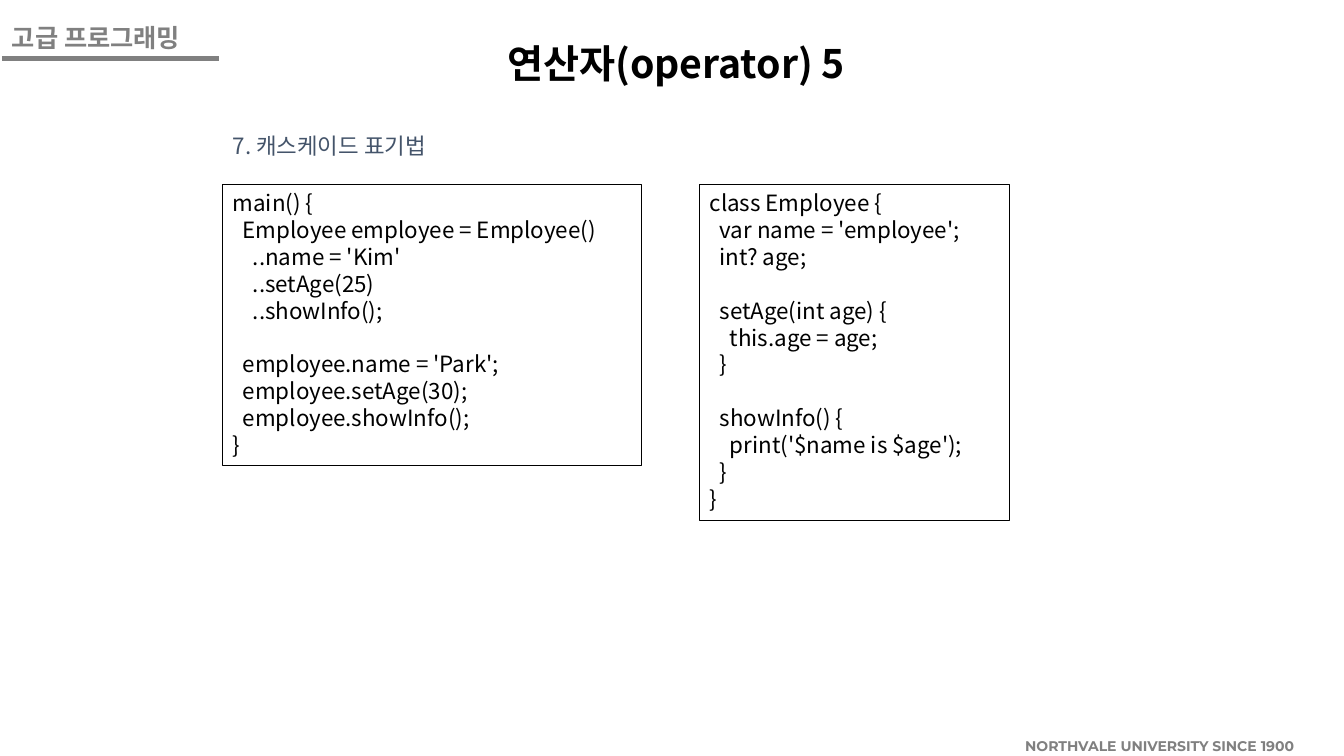
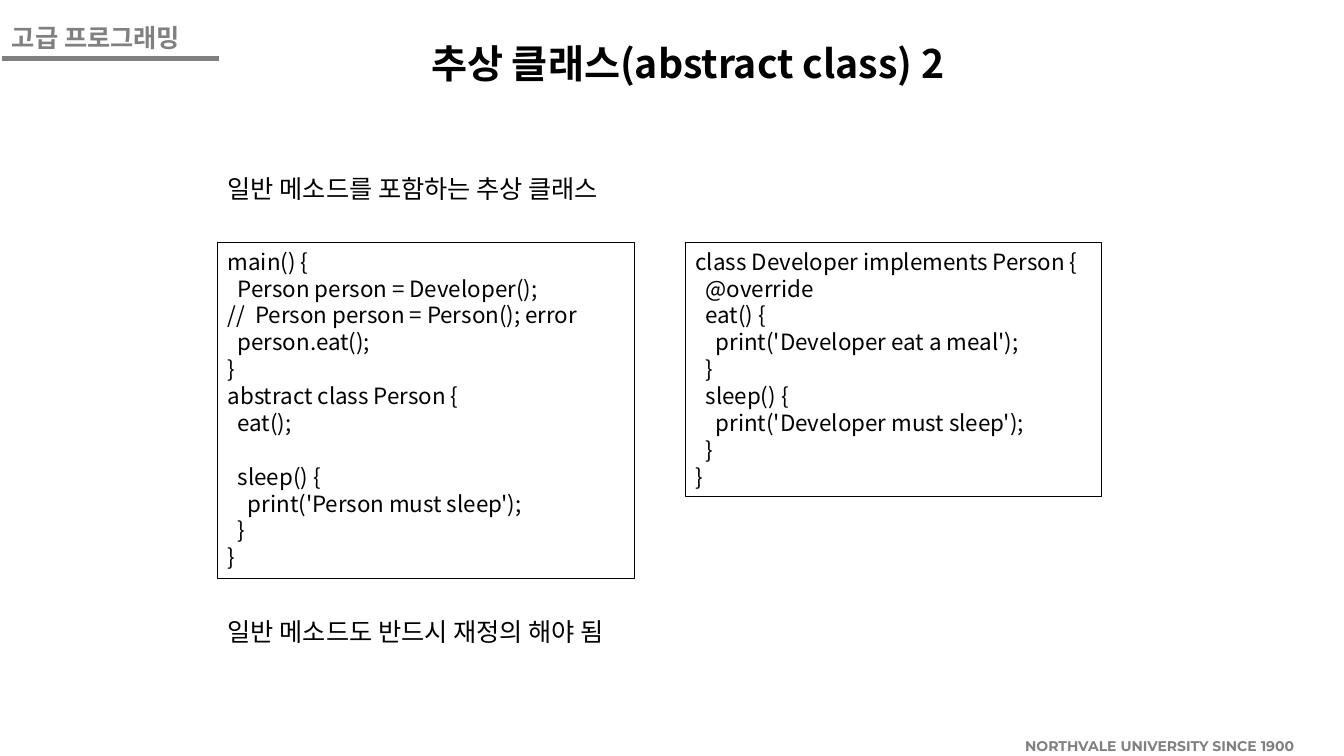
from lxml import etree
from pptx import Presentation
from pptx.dml.color import RGBColor
from pptx.enum.shapes import MSO_CONNECTOR, MSO_SHAPE
from pptx.enum.text import MSO_ANCHOR, MSO_AUTO_SIZE, PP_ALIGN
from pptx.oxml.ns import qn
from pptx.util import Pt

LINE, RECT = MSO_CONNECTOR.STRAIGHT, MSO_SHAPE.RECTANGLE
TOP, FIXED = MSO_ANCHOR.TOP, MSO_AUTO_SIZE.NONE
LEFT, MID = PP_ALIGN.LEFT, PP_ALIGN.CENTER
PX = 9144  # one px is a hundredth of an inch
GREY, BLACK, SLATE = "808080", "000000", "44546A"
SANS, BRAND = "Noto Sans CJK KR", "Montserrat"
STEP = 5  # indent in px for each leading space of code
PITCH = 1.2  # line height relative to the text size


def tint(code):
    return RGBColor.from_string(code)


def put(shape, text, size=16, color=BLACK, font=SANS, bold=False, align=LEFT, wrap=False):
    """Write lines; leading spaces become indents, empty lines become spacing."""
    frame = shape.text_frame
    frame.word_wrap, frame.auto_size, frame.vertical_anchor = wrap, FIXED, TOP
    frame.margin_left = frame.margin_right = 10 * PX
    frame.margin_top = frame.margin_bottom = 5 * PX
    para, gap = frame.paragraphs[0], 0
    for row, line in enumerate(text.split("\n")):
        if not line:
            gap += size * PITCH
            continue
        if row:
            para = frame.add_paragraph()
        body = line.lstrip()
        para.alignment, para.line_spacing = align, Pt(size * PITCH)
        para.space_before, gap = Pt(gap), 0
        props = para._p.get_or_add_pPr()
        props.set("marL", str((len(line) - len(body)) * STEP * PX))
        props.set("indent", "0")
        run = para.add_run()
        run.text = body
        run.font.size, run.font.bold, run.font.name = Pt(size), bold, font
        run.font.color.rgb = tint(color)
        etree.SubElement(run._r.rPr, qn("a:ea"), typeface=font)


deck = Presentation()
deck.slide_width, deck.slide_height = 1333 * PX, 750 * PX
layout = deck.slide_layouts[5]

# Content: title, its box, notes (text, box, size, colour), code (text, box)
PAGES = [
    ("연산자(operator) 5", (488, 34, 365, 57),
     [("7. 캐스케이드 표기법", (221, 126, 233, 37), 16, SLATE)],
     [("""main() {
  Employee employee = Employee()
    ..name = 'Kim'
    ..setAge(25)
    ..showInfo();

  employee.name = 'Park';
  employee.setAge(30);
  employee.showInfo();
}""", (221, 183, 415, 279)),
      ("""class Employee {
  var name = 'employee';
  int? age;

  setAge(int age) {
    this.age = age;
  }

  showInfo() {
    print('$name is $age');
  }
}""", (694, 183, 307, 333))]),
    ("추상 클래스(abstract class) 2", (409, 34, 546, 57),
     [("일반 메소드를 포함하는 추상 클래스", (216, 167, 435, 40), 18, BLACK),
      ("일반 메소드도 반드시 재정의 해야 됨", (216, 607, 444, 40), 18, BLACK)],
     [("""main() {
  Person person = Developer();
//  Person person = Person(); error
  person.eat();
}
abstract class Person {
  eat();

  sleep() {
    print('Person must sleep');
  }
}""", (216, 241, 413, 333)),
      ("""class Developer implements Person {
  @override
  eat() {
    print('Developer eat a meal');
  }
  sleep() {
    print('Developer must sleep');
  }
}""", (680, 241, 413, 252))]),
]

for name, place, notes, codes in PAGES:
    slide = deck.slides.add_slide(layout)
    shapes = slide.shapes

    # Title
    title = shapes.title
    title.left, title.top, title.width, title.height = [n * PX for n in place]
    put(title, name, size=28, bold=True, align=MID)

    # Notes
    for text, box, size, color in notes:
        put(shapes.add_textbox(*[n * PX for n in box]), text, size=size, color=color)

    # Code boxes
    for text, box in codes:
        panel = shapes.add_shape(RECT, *[n * PX for n in box])
        panel.shadow.inherit = False
        panel.fill.background()
        panel.line.color.rgb, panel.line.width = tint(BLACK), Pt(0.75)
        put(panel, text, wrap=True)

# Shared header and footer, drawn once and moved to the layout
foot = shapes.add_textbox(1007 * PX, 727 * PX, 319 * PX, 28 * PX)
put(foot, "NORTHVALE UNIVERSITY SINCE 1900", size=10, color=GREY, font=BRAND, bold=True, wrap=True)
rule = shapes.add_connector(LINE, 2 * PX, 58 * PX, 217 * PX, 58 * PX)
rule.line.color.rgb, rule.line.width = tint(GREY), Pt(3.75)
etree.SubElement(rule._element.spPr, qn("a:effectLst"))
head = shapes.add_textbox(2 * PX, 17 * PX, 206 * PX, 40 * PX)
put(head, "고급 프로그래밍", size=18, color=GREY, bold=True)
for part in (foot, rule, head):
    layout.shapes.element.append(part.element)

deck.save("out.pptx")
